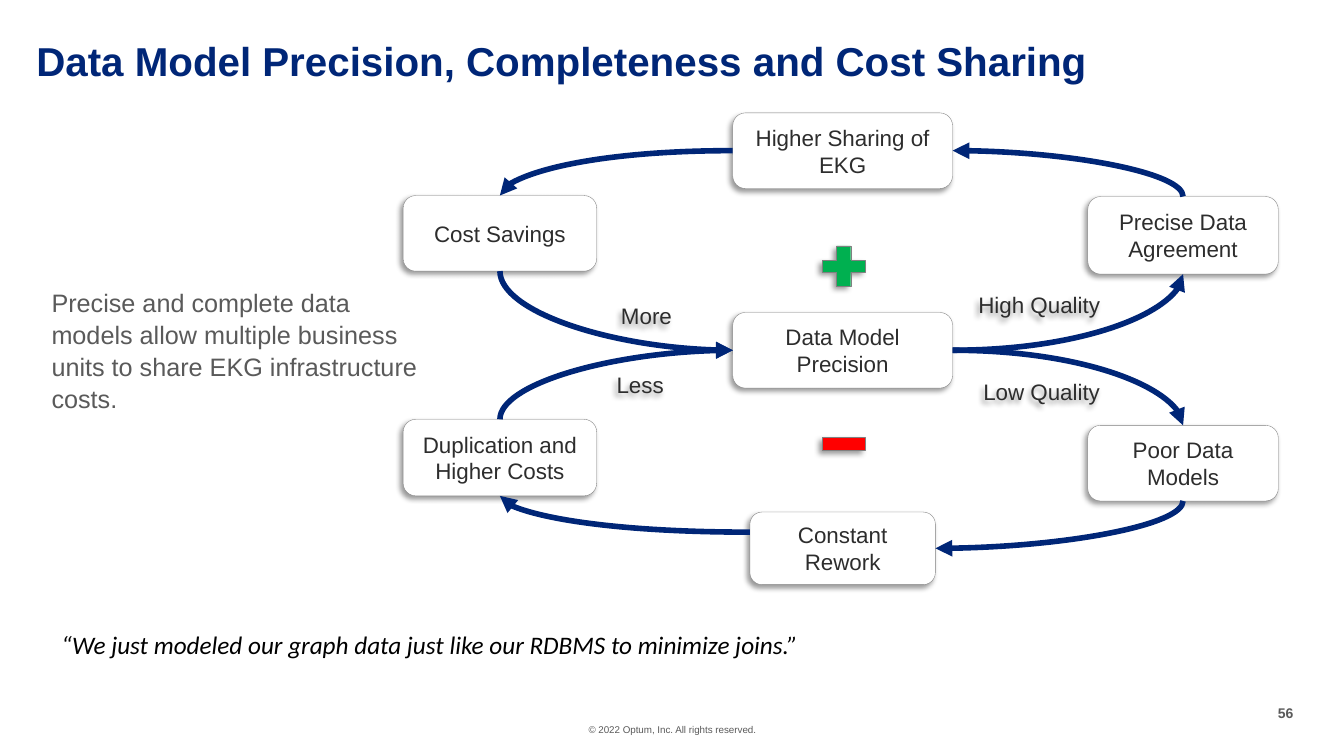
from dataclasses import dataclass

from lxml import etree
from pptx import Presentation
from pptx import util as u
from pptx.dml.color import RGBColor
from pptx.enum import shapes, text
from pptx.oxml.ns import qn

COLORS = {
    "navy": "002677",
    "ink": "2D2D2D",
    "gray": "5A5A5A",
    "edge": "808080",
    "black": "000000",
    "white": "FFFFFF",
    "plus": "00B050",
    "minus": "FF0000",
}

# Grid of 40 columns and 30 rows
WIDTH, HEIGHT = u.Inches(13.33), u.Inches(7.5)
COLUMN, ROW = WIDTH / 40, HEIGHT / 30
LEFT, MIDDLE, RIGHT = 14.88, 25.08, 35.21  # centres of the loop's columns


@dataclass(frozen=True)
class Box:
    """A box given by its centre and size, in columns and rows."""
    x: float
    y: float
    columns: float
    rows: float

    def frame(self) -> tuple[int, int, int, int]:
        return (round((self.x - self.columns / 2) * COLUMN),
                round((self.y - self.rows / 2) * ROW),
                round(self.columns * COLUMN), round(self.rows * ROW))

    def side(self, name: str) -> tuple[float, float]:
        dx, dy = {"top": (0, -0.5), "left": (-0.5, 0),
                  "bottom": (0, 0.5), "right": (0.5, 0)}[name]
        return self.x + dx * self.columns, self.y + dy * self.rows


@dataclass(frozen=True)
class Style:
    size: float
    color: str
    font: str = "Arial"
    bold: bool = False
    italic: bool = False
    align: text.PP_ALIGN = text.PP_ALIGN.LEFT
    anchor: text.MSO_ANCHOR = text.MSO_ANCHOR.TOP
    spacing: float = 1.0
    inset: float = 0.0
    wrap: bool = True


@dataclass(frozen=True)
class Label:
    wording: str
    box: Box
    style: Style


@dataclass(frozen=True)
class Arrow:
    source: str
    source_side: str
    target: str
    target_side: str
    shift: float = 0.0  # rows by which the start is moved


CENTER, MID = text.PP_ALIGN.CENTER, text.MSO_ANCHOR.MIDDLE
TITLE = Style(28.8, "navy", bold=True, spacing=0.9)
NODE = Style(16, "ink", align=CENTER, anchor=MID, inset=0.1)
QUALITY = Style(16, "ink", align=CENTER, anchor=MID, wrap=False)

NODES = {
    "Higher Sharing of EKG": Box(MIDDLE, 5.98, 6.54, 3),
    "Cost Savings": Box(LEFT, 9.26, 5.76, 3),
    "Precise Data Agreement": Box(RIGHT, 9.34, 5.67, 3.08),
    "Data Model Precision": Box(MIDDLE, 13.9, 6.54, 3),
    "Duplication and Higher Costs": Box(LEFT, 18.16, 5.76, 3.04),
    "Poor Data Models": Box(RIGHT, 18.38, 5.67, 3),
    "Constant\nRework": Box(MIDDLE, 21.76, 5.52, 2.88),
}

ARROWS = [
    Arrow("Higher Sharing of EKG", "left", "Cost Savings", "top"),
    Arrow("Precise Data Agreement", "top", "Higher Sharing of EKG", "right"),
    Arrow("Data Model Precision", "right", "Precise Data Agreement", "bottom"),
    Arrow("Cost Savings", "bottom", "Data Model Precision", "left"),
    Arrow("Duplication and Higher Costs", "top", "Data Model Precision", "left"),
    Arrow("Data Model Precision", "right", "Poor Data Models", "top"),
    Arrow("Constant\nRework", "left", "Duplication and Higher Costs", "bottom", -0.64),
    Arrow("Poor Data Models", "bottom", "Constant\nRework", "right"),
]

QUALITY_LABELS = [
    Label("More", Box(19.24, 12.54, 2.13, 1.48), QUALITY),
    Label("Less", Box(19.05, 15.26, 2.04, 1.48), QUALITY),
    Label("High Quality", Box(30.93, 12.1, 4.26, 1.48), QUALITY),
    Label("Low Quality", Box(31, 15.54, 4.11, 1.48), QUALITY),
]

PLAIN_LABELS = [
    Label("Precise and complete data models allow multiple business units "
          "to share EKG infrastructure costs.",
          Box(7.28, 13.96, 11.49, 5.2), Style(18, "gray", spacing=1.05)),
    Label("“We just modeled our graph data just like our RDBMS to minimize joins.”",
          Box(12.92, 25.56, 22.77, 1.6),
          Style(18, "black", font="Calibri", italic=True, inset=0.1, wrap=False)),
    Label("© 2022 Optum, Inc. All rights reserved.",
          Box(20.01, 28.96, 9.18, 0.48), Style(7, "gray", align=CENTER)),
    Label("56", Box(38.24, 28.3, 0.51, 0.68),
          Style(10, "gray", bold=True, align=text.PP_ALIGN.RIGHT, wrap=False)),
]


def rgb(name: str) -> RGBColor:
    return RGBColor.from_string(COLORS[name])


def write(shape, wording: str, style: Style) -> None:
    frame = shape.text_frame
    frame.text = wording
    frame.auto_size = text.MSO_AUTO_SIZE.NONE
    frame.word_wrap = style.wrap
    frame.vertical_anchor = style.anchor
    frame.margin_left = frame.margin_right = u.Inches(style.inset)
    frame.margin_top = frame.margin_bottom = u.Inches(style.inset / 2)
    for paragraph in frame.paragraphs:
        paragraph.alignment = style.align
        paragraph.line_spacing = style.spacing
        for run in paragraph.runs:
            run.font.name, run.font.size = style.font, u.Pt(style.size)
            run.font.bold, run.font.italic = style.bold, style.italic
            run.font.color.rgb = rgb(style.color)


def add_shadow(shape) -> None:
    shape.shadow.inherit = False
    effects = shape.element.spPr.find(qn("a:effectLst"))
    shadow = etree.SubElement(effects, qn("a:outerShdw"), blurRad=str(u.Pt(4)),
                              dist=str(u.Pt(3)), dir=str(135 * 60000), rotWithShape="0")
    color = etree.SubElement(shadow, qn("a:srgbClr"), val=COLORS["black"])
    etree.SubElement(color, qn("a:alpha"), val="40000")


def add_block(slide, kind: shapes.MSO_SHAPE, box: Box, fill: str):
    shape = slide.shapes.add_shape(kind, *box.frame())
    shape.fill.solid()
    shape.fill.fore_color.rgb = rgb(fill)
    shape.line.color.rgb = rgb("edge")
    shape.line.width = u.Pt(0.25)
    add_shadow(shape)
    return shape


def add_label(slide, label: Label):
    shape = slide.shapes.add_textbox(*label.box.frame())
    write(shape, label.wording, label.style)
    return shape


def add_arrow(slide, arrow: Arrow) -> None:
    x1, y1 = NODES[arrow.source].side(arrow.source_side)
    x2, y2 = NODES[arrow.target].side(arrow.target_side)
    x1, x2 = x1 * COLUMN, x2 * COLUMN
    y1, y2 = (y1 + arrow.shift) * ROW, y2 * ROW
    rotation = 0
    if arrow.source_side in ("top", "bottom"):
        # The curve leaves sideways, so turn it to leave up or down
        rotation, turn = (90, 1) if y2 > y1 else (270, -1)
        x, y = (x1 + x2) / 2, (y1 + y2) / 2
        dx, dy = turn * (y2 - y1) / 2, turn * (x1 - x2) / 2
        x1, y1, x2, y2 = x - dx, y - dy, x + dx, y + dy
    connector = slide.shapes.add_connector(
        shapes.MSO_CONNECTOR.CURVE, *(round(value) for value in (x1, y1, x2, y2)))
    connector.line.color.rgb = rgb("navy")
    connector.line.width = u.Pt(4)
    properties = connector.element.spPr
    properties.find(qn("a:xfrm")).set("rot", str(rotation * 60000))
    properties.find(qn("a:prstGeom")).set("prst", "curvedConnector2")
    etree.SubElement(properties.find(qn("a:ln")), qn("a:tailEnd"), type="triangle")
    etree.SubElement(properties, qn("a:effectLst"))


def main() -> None:
    presentation = Presentation()
    presentation.slide_width, presentation.slide_height = WIDTH, HEIGHT
    slide = presentation.slides.add_slide(presentation.slide_layouts[5])

    # Title
    title = slide.shapes.title
    title.left, title.top, title.width, title.height = Box(18.33, 2.76, 34.5, 2.24).frame()
    write(title, "Data Model Precision, Completeness and Cost Sharing", TITLE)

    # Statement, quote and footer
    for label in PLAIN_LABELS:
        add_label(slide, label)

    # Loops of causes and effects
    for label in QUALITY_LABELS:
        add_shadow(add_label(slide, label))
    for wording, box in NODES.items():
        write(add_block(slide, shapes.MSO_SHAPE.ROUNDED_RECTANGLE, box, "white"), wording, NODE)
    for arrow in ARROWS:
        add_arrow(slide, arrow)

    # Signs of the good and the bad loop
    plus = add_block(slide, shapes.MSO_SHAPE.CROSS, Box(25.11, 10.56, 1.26, 1.6), "plus")
    plus.adjustments[0] = 0.35
    add_block(slide, shapes.MSO_SHAPE.RECTANGLE, Box(25.11, 17.62, 1.26, 0.52), "minus")

    presentation.save("out.pptx")


if __name__ == "__main__":
    main()
